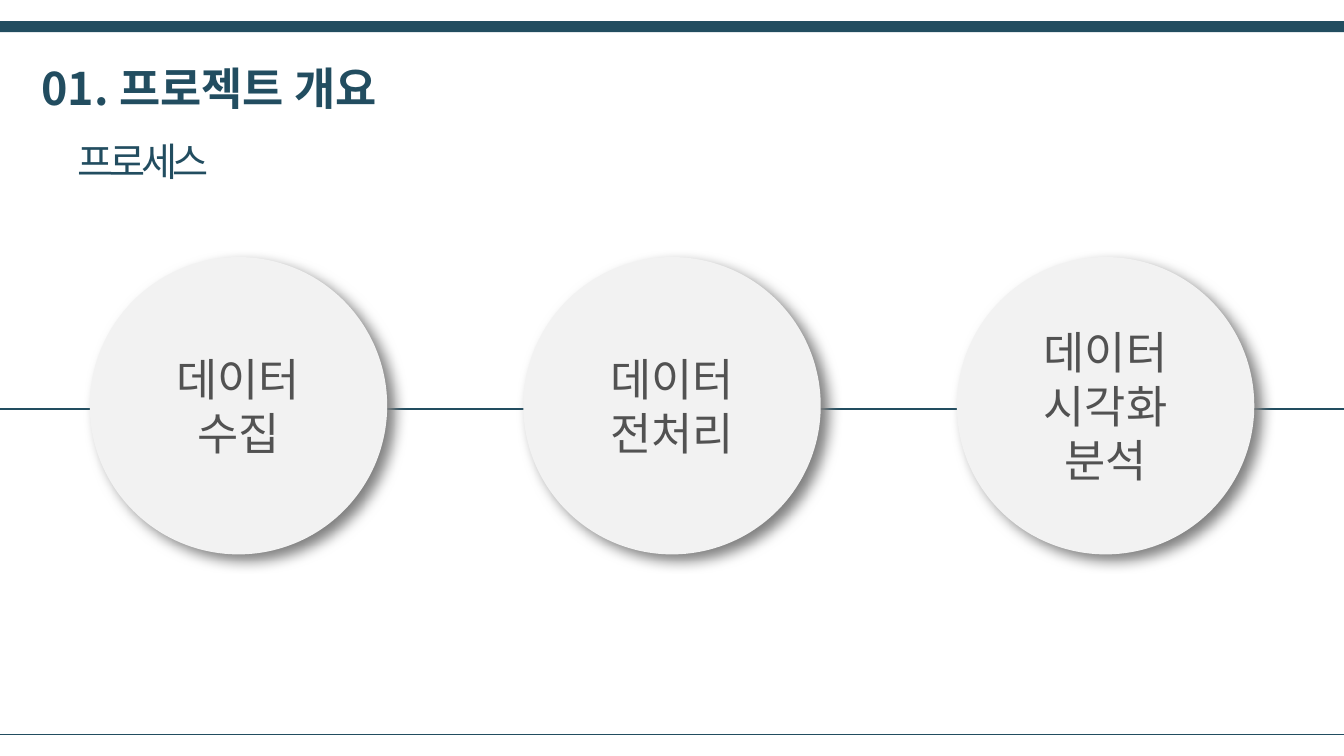
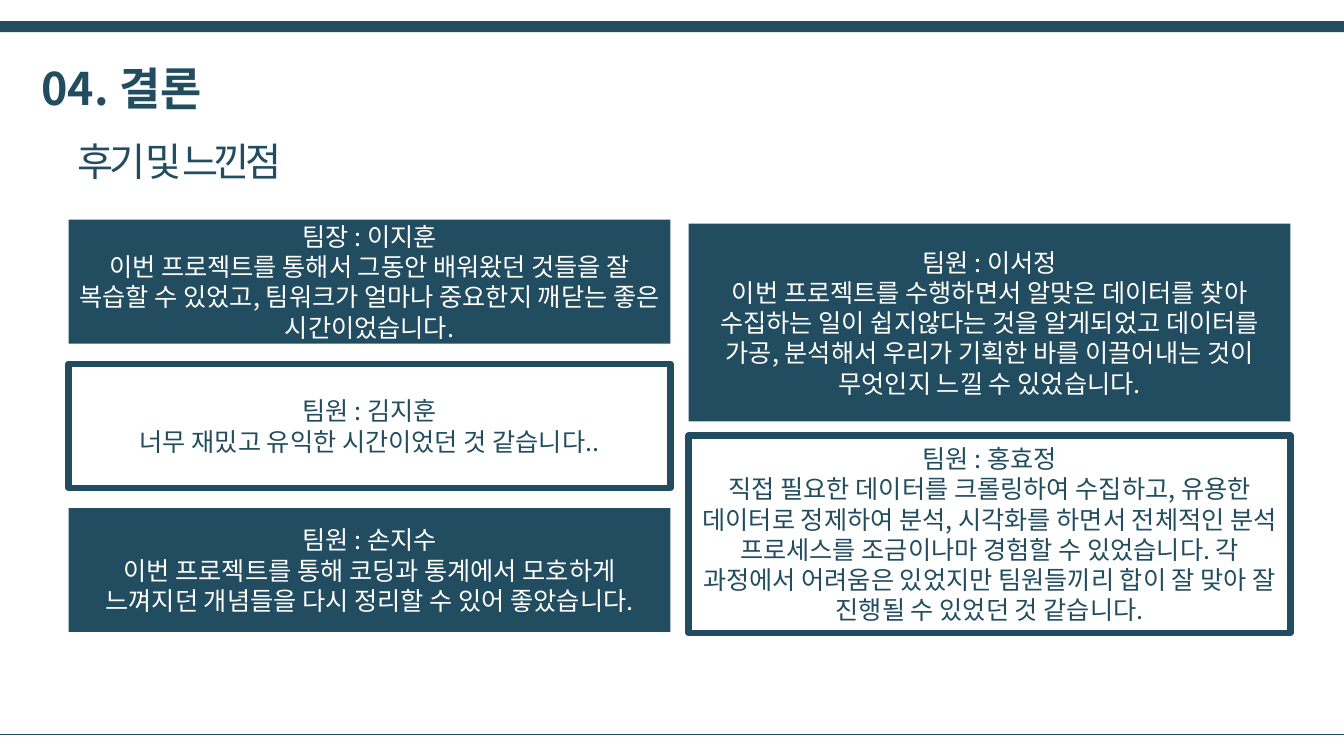
"""Build the project process slide and the team review slide."""
from dataclasses import dataclass

from lxml.etree import SubElement
from pptx import Presentation
from pptx.dml.color import RGBColor
from pptx.enum.shapes import MSO_CONNECTOR, MSO_SHAPE
from pptx.enum.text import MSO_ANCHOR, MSO_AUTO_SIZE, PP_ALIGN
from pptx.oxml.ns import qn
from pptx.shapes.autoshape import Shape
from pptx.slide import Slide
from pptx.text.text import TextFrame
from pptx.util import Inches, Pt

NAVY = RGBColor(0x22, 0x4D, 0x60)
WHITE = RGBColor(0xFF, 0xFF, 0xFF)
PALE = RGBColor(0xF2, 0xF2, 0xF2)
GREY = RGBColor(0x52, 0x52, 0x52)
SHADOW = RGBColor(0x80, 0x80, 0x80)
FONT = "Noto Sans CJK KR"
WIDTH, HEIGHT = 13.33, 7.5
CIRCLE_LEFT, CIRCLE_TOP, CIRCLE_SIZE, CIRCLE_PITCH = 0.89, 2.55, 2.95, 4.3
BOX_WIDTH = 5.97


@dataclass(frozen=True)
class Review:
    author: str
    opinion: str


@dataclass(frozen=True)
class ReviewColumn:
    left: float
    top: float
    pitch: float
    height: float
    reviews: tuple[Review, ...]


STEPS = (("데이터", "수집"), ("데이터", "전처리"), ("데이터", "시각화", "분석"))

COLUMNS = (
    ReviewColumn(0.68, 2.18, 1.43, 1.23, (
        Review("팀장 : 이지훈",
               "이번 프로젝트를 통해서 그동안 배워왔던 것들을 잘 복습할 수 있었고, "
               "팀워크가 얼마나 중요한지 깨닫는 좋은 시간이었습니다."),
        Review("팀원 : 김지훈", "너무 재밌고 유익한 시간이었던 것 같습니다.."),
        Review("팀원 : 손지수",
               "이번 프로젝트를 통해 코딩과 통계에서 모호하게 느껴지던 개념들을 "
               "다시 정리할 수 있어 좋았습니다."),
    )),
    ReviewColumn(6.83, 2.22, 2.1, 1.96, (
        Review("팀원 : 이서정",
               "이번 프로젝트를 수행하면서 알맞은 데이터를 찾아 수집하는 일이 "
               "쉽지않다는 것을 알게되었고 데이터를 가공, 분석해서 우리가 기획한 "
               "바를 이끌어내는 것이 무엇인지 느낄 수 있었습니다."),
        Review("팀원 : 홍효정",
               "직접 필요한 데이터를 크롤링하여 수집하고, 유용한 데이터로 정제하여 "
               "분석, 시각화를 하면서 전체적인 분석 프로세스를 조금이나마 경험할 수 "
               "있었습니다. 각 과정에서 어려움은 있었지만 팀원들끼리 합이 잘 맞아 "
               "잘 진행될 수 있었던 것 같습니다."),
    )),
)


def write(tf: TextFrame, lines: tuple[str, ...], size: float, color: RGBColor,
          align: PP_ALIGN = PP_ALIGN.LEFT, bold: bool = False,
          tracking: float = 0) -> None:
    """Fill a text frame with one paragraph per line."""
    tf.text = "\n".join(lines)
    for p in tf.paragraphs:
        p.alignment = align
        p.font.name, p.font.size, p.font.bold = FONT, Pt(size), bold
        p.font.color.rgb = color
        props = p._p.pPr.find(qn("a:defRPr"))
        SubElement(props, qn("a:ea")).set("typeface", FONT)
        if tracking:
            props.set("spc", str(int(tracking * 100)))


def add_block(s: Slide, kind: MSO_SHAPE, left: float, top: float, width: float,
              height: float, fill: RGBColor) -> Shape:
    """Add a plain filled shape without outline or shadow."""
    sp = s.shapes.add_shape(kind, Inches(left), Inches(top), Inches(width), Inches(height))
    sp.shadow.inherit = False
    sp.fill.solid()
    sp.fill.fore_color.rgb = fill
    sp.line.fill.background()
    return sp


def add_rule(s: Slide, top: float, weight: float) -> None:
    """Draw a horizontal line across the slide."""
    line = s.shapes.add_connector(MSO_CONNECTOR.STRAIGHT, 0, Inches(top),
                                  Inches(WIDTH), Inches(top))
    line.line.color.rgb = NAVY
    line.line.width = Pt(weight)
    SubElement(line._element.spPr, qn("a:effectLst"))


def cast_shadow(sp: Shape) -> None:
    """Give a shape a soft shadow to the lower right."""
    effects = sp._element.spPr.find(qn("a:effectLst"))
    shadow = SubElement(effects, qn("a:outerShdw"), blurRad=str(Pt(10)),
                        dist=str(Pt(7)), dir=str(40 * 60000), algn="ctr", rotWithShape="0")
    SubElement(shadow, qn("a:srgbClr")).set("val", str(SHADOW))


def add_page(prs: Presentation, title: str, subtitle: str) -> Slide:
    """Add a slide with the shared band, footer rule and headings."""
    s = prs.slides.add_slide(prs.slide_layouts[5])
    add_block(s, MSO_SHAPE.RECTANGLE, 0, 0.21, WIDTH, 0.11, NAVY)
    add_rule(s, 7.29, 0.5)

    heading = s.shapes.title
    heading.left, heading.top = Inches(0.31), Inches(0.55)
    heading.width, heading.height = Inches(WIDTH - 0.62), Inches(0.64)
    tf = heading.text_frame
    tf.auto_size, tf.vertical_anchor = MSO_AUTO_SIZE.NONE, MSO_ANCHOR.TOP
    write(tf, (title,), 32, NAVY, bold=True)

    box = s.shapes.add_textbox(Inches(0.67), Inches(1.31), Inches(WIDTH / 2), Inches(0.57))
    box.text_frame.word_wrap = True
    write(box.text_frame, (subtitle,), 28, NAVY, tracking=-3)
    return s


def add_process(s: Slide) -> None:
    """Draw the steps as circles on one line."""
    add_rule(s, 4.06, 1.5)
    for i, step in enumerate(STEPS):
        circle = add_block(s, MSO_SHAPE.OVAL, CIRCLE_LEFT + i * CIRCLE_PITCH, CIRCLE_TOP,
                           CIRCLE_SIZE, CIRCLE_SIZE, PALE)
        cast_shadow(circle)
        circle.text_frame.vertical_anchor = MSO_ANCHOR.MIDDLE
        write(circle.text_frame, step, 32, GREY, PP_ALIGN.CENTER)


def add_reviews(s: Slide, column: ReviewColumn) -> None:
    """Stack the reviews of a column, alternating filled and outlined boxes."""
    for i, review in enumerate(column.reviews):
        outlined = i % 2 == 1
        fill, ink = (WHITE, NAVY) if outlined else (NAVY, WHITE)
        box = add_block(s, MSO_SHAPE.RECTANGLE, column.left, column.top + i * column.pitch,
                        BOX_WIDTH, column.height, fill)
        if outlined:
            box.line.color.rgb = NAVY
            box.line.width = Pt(4.5)
        box.text_frame.vertical_anchor = MSO_ANCHOR.MIDDLE
        write(box.text_frame, (review.author, review.opinion), 18, ink, PP_ALIGN.CENTER)


def main() -> None:
    """Build and save the presentation."""
    prs = Presentation()
    prs.slide_width, prs.slide_height = Inches(WIDTH), Inches(HEIGHT)
    add_process(add_page(prs, "01. 프로젝트 개요", "프로세스"))
    s = add_page(prs, "04. 결론", "후기 및 느낀점")
    for column in COLUMNS:
        add_reviews(s, column)
    prs.save("out.pptx")


if __name__ == "__main__":
    main()
